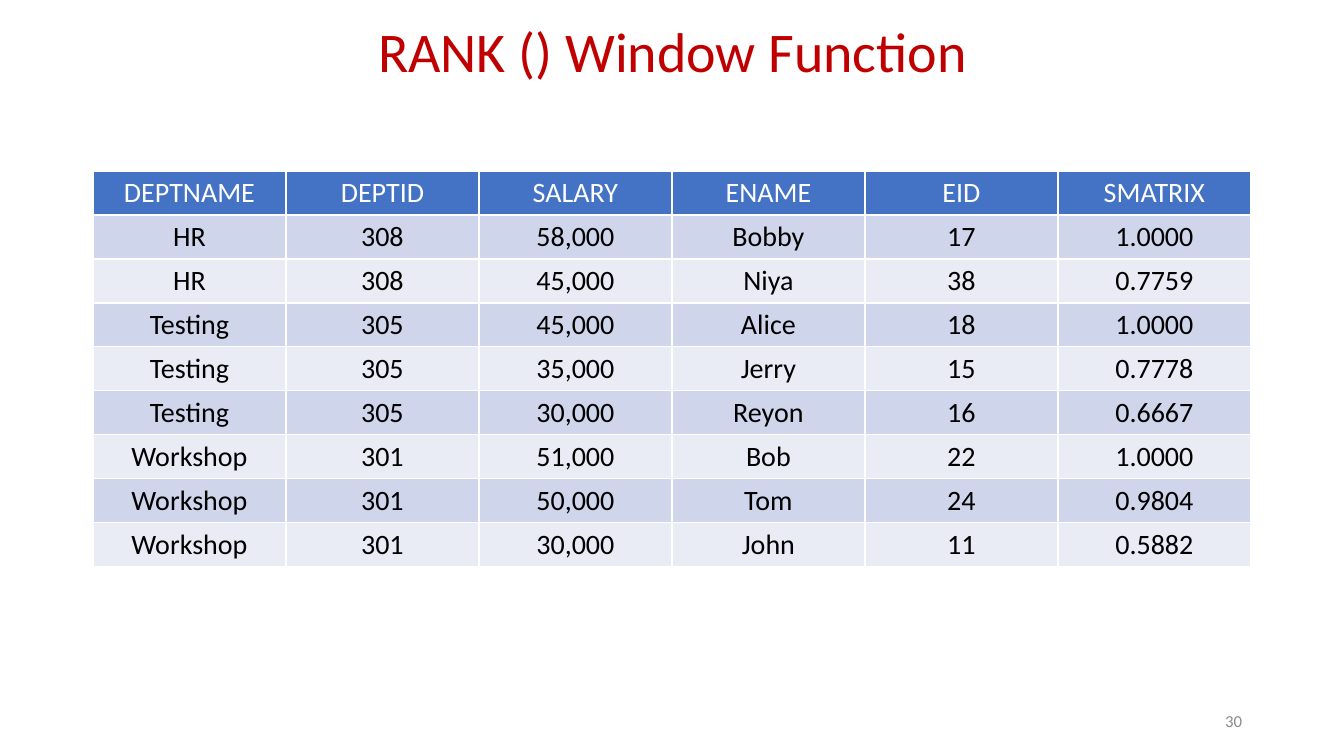
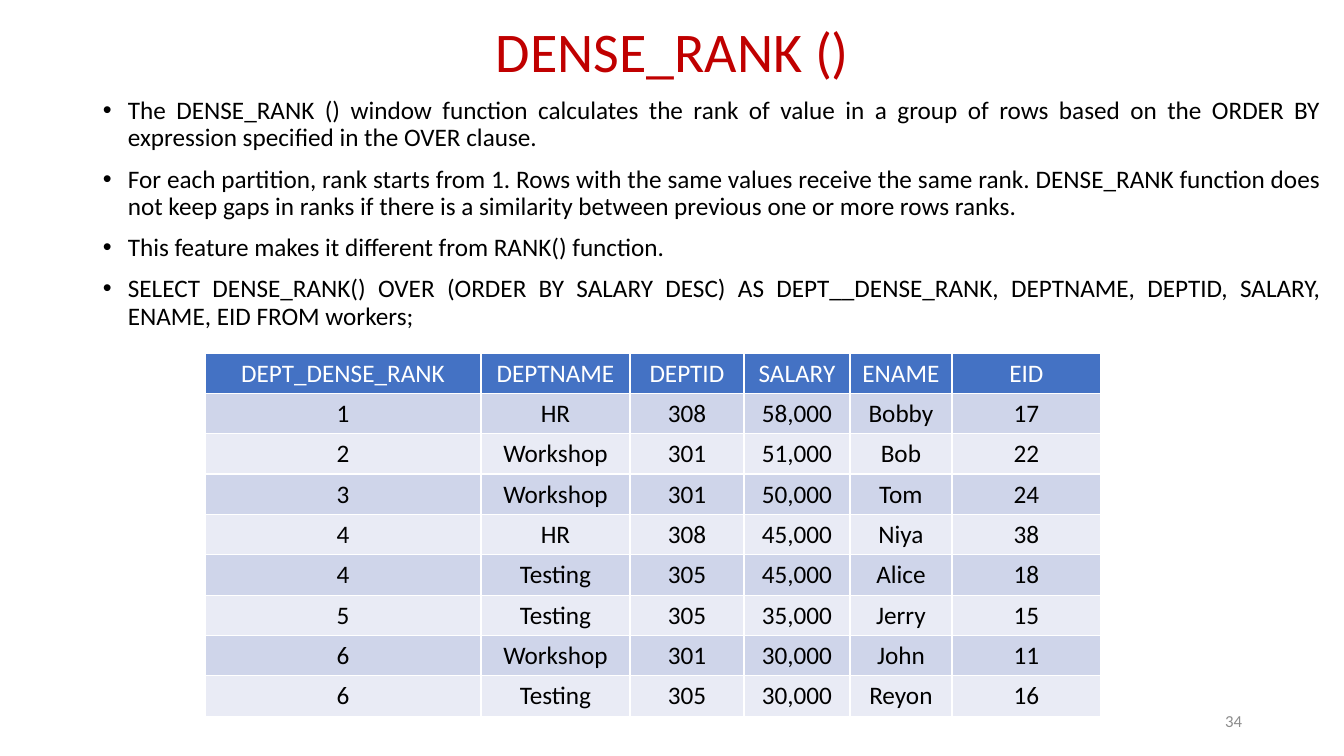
import pptx
import pptx.util
import pptx.dml.color
import pptx.enum.text
import pptx.oxml.ns
import lxml.etree

SCALE = 914400 / 100.8
PAGE_WIDTH, PAGE_HEIGHT = 1344, 756
FONT = "Calibri"
RED = pptx.dml.color.RGBColor(0xC0, 0x00, 0x00)
GREY = pptx.dml.color.RGBColor(0x8C, 0x8C, 0x8C)
BLACK = pptx.dml.color.RGBColor(0x00, 0x00, 0x00)
WHITE = pptx.dml.color.RGBColor(0xFF, 0xFF, 0xFF)
HEADER_BLUE = pptx.dml.color.RGBColor(0x44, 0x72, 0xC4)
BANDS = (
    pptx.dml.color.RGBColor(0xE9, 0xEB, 0xF5),
    pptx.dml.color.RGBColor(0xCF, 0xD5, 0xEA),
)
ALIGN = pptx.enum.text.PP_ALIGN
MIDDLE = pptx.enum.text.MSO_ANCHOR.MIDDLE
TOP = pptx.enum.text.MSO_ANCHOR.TOP

TITLE_BOX = (93, 0, 1159, 108)
NUMBER_BOX = (950, 701, 302, 40)
BULLETS_BOX = (93, 93, 1238, 256)
BULLET_INDENT = 25

SMATRIX_ROWS = (
    ("DEPTNAME", "DEPTID", "SALARY", "ENAME", "EID", "SMATRIX"),
    ("HR", "308", "58,000", "Bobby", "17", "1.0000"),
    ("HR", "308", "45,000", "Niya", "38", "0.7759"),
    ("Testing", "305", "45,000", "Alice", "18", "1.0000"),
    ("Testing", "305", "35,000", "Jerry", "15", "0.7778"),
    ("Testing", "305", "30,000", "Reyon", "16", "0.6667"),
    ("Workshop", "301", "51,000", "Bob", "22", "1.0000"),
    ("Workshop", "301", "50,000", "Tom", "24", "0.9804"),
    ("Workshop", "301", "30,000", "John", "11", "0.5882"),
)
DENSE_RANK_ROWS = (
    ("DEPT_DENSE_RANK", "DEPTNAME", "DEPTID", "SALARY", "ENAME", "EID"),
    ("1", "HR", "308", "58,000", "Bobby", "17"),
    ("2", "Workshop", "301", "51,000", "Bob", "22"),
    ("3", "Workshop", "301", "50,000", "Tom", "24"),
    ("4", "HR", "308", "45,000", "Niya", "38"),
    ("4", "Testing", "305", "45,000", "Alice", "18"),
    ("5", "Testing", "305", "35,000", "Jerry", "15"),
    ("6", "Workshop", "301", "30,000", "John", "11"),
    ("6", "Testing", "305", "30,000", "Reyon", "16"),
)
DENSE_RANK_POINTS = (
    "The DENSE_RANK () window function calculates the rank of value in a group of rows "
    "based on the ORDER BY expression specified in the OVER clause.",
    "For each partition, rank starts from 1. Rows with the same values receive the same rank. "
    "DENSE_RANK function does not keep gaps in ranks if there is a similarity between previous "
    "one or more rows ranks.",
    "This feature makes it different from RANK() function.",
    "SELECT DENSE_RANK() OVER (ORDER BY SALARY DESC) AS DEPT__DENSE_RANK, DEPTNAME, DEPTID, "
    "SALARY, ENAME, EID FROM workers;",
)


def px(length):
    """Turn pixels into EMU."""
    return pptx.util.Emu(round(length * SCALE))


def format_para(para, size, color, align):
    """Set the alignment of a paragraph and the font of its runs."""
    para.alignment = align
    for span in para.runs:
        span.font.name = FONT
        span.font.size = pptx.util.Pt(size)
        span.font.bold = False
        span.font.color.rgb = color


def add_text(page, box, lines, size, color, align, anchor=MIDDLE):
    """Add a wrapped text box with one paragraph per line and return its paragraphs."""
    frame = page.shapes.add_textbox(*map(px, box)).text_frame
    frame.word_wrap = True
    frame.vertical_anchor = anchor
    frame.text = "\n".join(lines)
    for para in frame.paragraphs:
        format_para(para, size, color, align)
    return frame.paragraphs


def add_bullets(page, box, points):
    """Add justified bullet points to a box."""
    paras = add_text(page, box, points, 18, BLACK, ALIGN.JUSTIFY, TOP)
    for index, para in enumerate(paras):
        properties = para._p.get_or_add_pPr()
        properties.set("marL", str(px(BULLET_INDENT)))
        properties.set("indent", str(-px(BULLET_INDENT)))
        for tag, key, value in (("a:buFont", "typeface", "Arial"), ("a:buChar", "char", "•")):
            bullet = lxml.etree.SubElement(properties, pptx.oxml.ns.qn(tag))
            bullet.set(key, value)
        para.line_spacing = 0.9
        if index:
            para.space_before = pptx.util.Pt(10)


def add_borders(cell):
    """Draw thin white lines on all four sides of a cell."""
    properties = cell._tc.get_or_add_tcPr()
    for side in ("a:lnL", "a:lnR", "a:lnT", "a:lnB"):
        line = lxml.etree.SubElement(properties, pptx.oxml.ns.qn(side))
        line.set("w", str(pptx.util.Pt(1)))
        fill = lxml.etree.SubElement(line, pptx.oxml.ns.qn("a:solidFill"))
        color = lxml.etree.SubElement(fill, pptx.oxml.ns.qn("a:srgbClr"))
        color.set("val", str(WHITE))


def add_banded_table(page, left, top, widths, row_height, rows, size):
    """Add a table with a blue header and alternating row bands."""
    box = (left, top, sum(widths), row_height * len(rows))
    table = page.shapes.add_table(len(rows), len(widths), *map(px, box)).table
    for column, width in zip(table.columns, widths):
        column.width = px(width)
    for row_index, values in enumerate(rows):
        table.rows[row_index].height = px(row_height)
        for column_index, value in enumerate(values):
            cell = table.cell(row_index, column_index)
            add_borders(cell)
            cell.fill.solid()
            cell.fill.fore_color.rgb = BANDS[row_index % 2] if row_index else HEADER_BLUE
            cell.text_frame.text = value
            color = BLACK if row_index else WHITE
            format_para(cell.text_frame.paragraphs[0], size, color, ALIGN.CENTER)


def add_page(deck, title, number):
    """Add a blank page with the shared title and page number."""
    page = deck.slides.add_slide(deck.slide_layouts[6])
    heading = add_text(page, TITLE_BOX, [title], 40, RED, ALIGN.CENTER)
    heading[0].line_spacing = 0.9
    add_text(page, NUMBER_BOX, [number], 12, GREY, ALIGN.RIGHT)
    return page


def add_rank_page(deck):
    """Add the page with the salary ratios of each department."""
    page = add_page(deck, "RANK () Window Function", "30")
    add_banded_table(page, 93, 171, [193] * 6, 44, SMATRIX_ROWS, 20)


def add_dense_rank_page(deck):
    """Add the page that explains DENSE_RANK and shows its result."""
    page = add_page(deck, "DENSE_RANK ()", "34")
    add_bullets(page, BULLETS_BOX, DENSE_RANK_POINTS)
    widths = (276, 149, 114, 106, 102, 149)
    add_banded_table(page, 205, 353, widths, 40, DENSE_RANK_ROWS, 18)


def main():
    """Build and save the deck."""
    deck = pptx.Presentation()
    deck.slide_width, deck.slide_height = px(PAGE_WIDTH), px(PAGE_HEIGHT)
    add_rank_page(deck)
    add_dense_rank_page(deck)
    deck.save("out.pptx")


if __name__ == "__main__":
    main()
